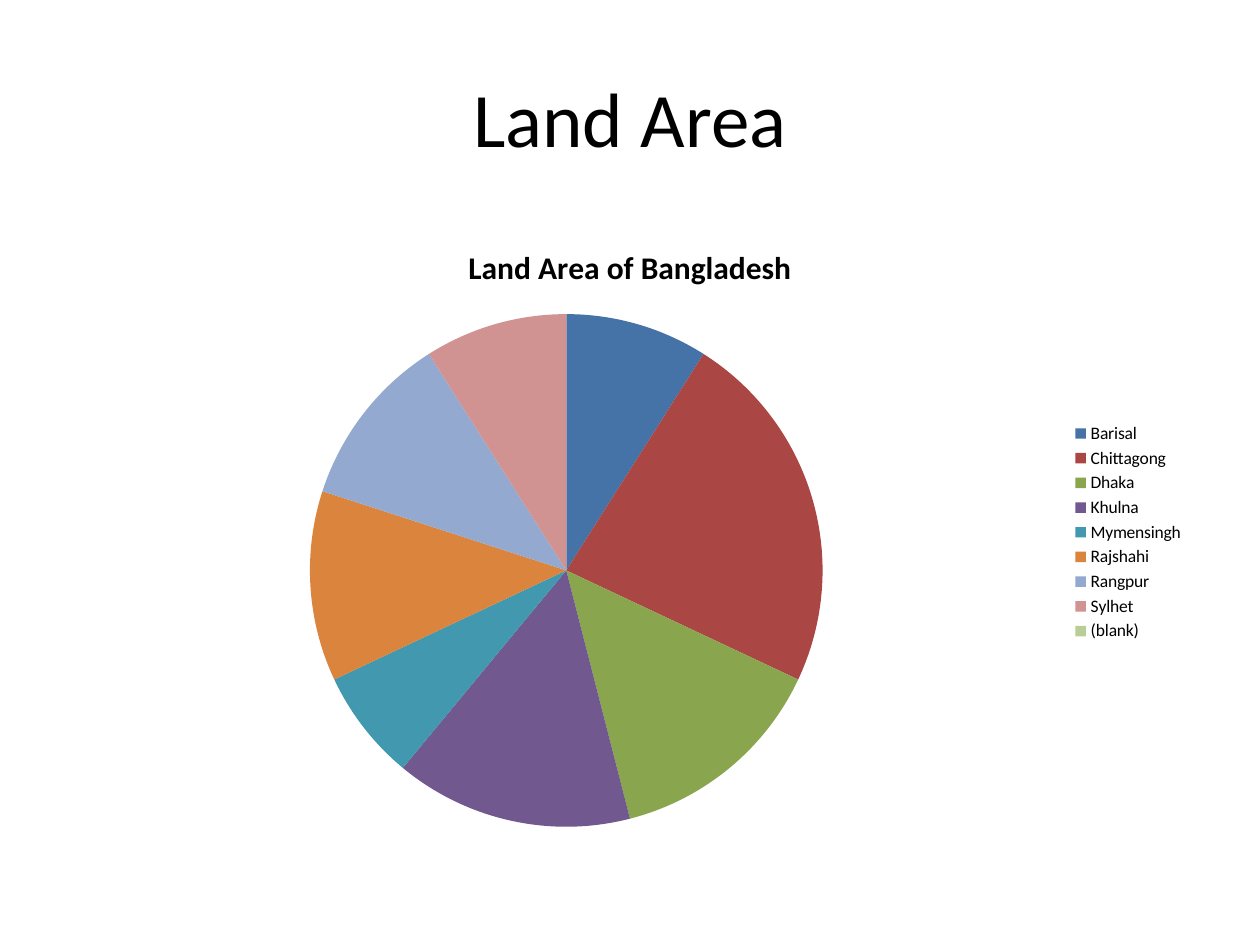
import pptx
import pptx.chart.data
import pptx.dml.color
import pptx.enum.chart
import pptx.enum.text
import pptx.util

Pt = pptx.util.Pt
FONT = "Calibri"
BLACK = "000000"
DIVISIONS = [
    ("Barisal", 9, "4572A7"),
    ("Chittagong", 23, "AA4643"),
    ("Dhaka", 14, "89A54E"),
    ("Khulna", 15, "71588F"),
    ("Mymensingh", 7, "4198AF"),
    ("Rajshahi", 12, "DB843D"),
    ("Rangpur", 11, "93A9CF"),
    ("Sylhet", 9, "D19392"),
    ("(blank)", None, "B9CD96"),
]


def rgb(color):
    """Turn a hex string into a colour."""
    return pptx.dml.color.RGBColor.from_string(color)


def style_font(font, size, bold=False):
    """Set the face, size, weight and colour of a font."""
    font.name = FONT
    font.size = Pt(size)
    font.bold = bold
    font.color.rgb = rgb(BLACK)


def add_title(s, text, left, top, width, height):
    """Add the centred slide title."""
    sp = s.shapes.add_textbox(Pt(left), Pt(top), Pt(width), Pt(height))
    tf = sp.text_frame
    tf.word_wrap = True
    tf.vertical_anchor = pptx.enum.text.MSO_ANCHOR.MIDDLE
    p = tf.paragraphs[0]
    p.alignment = pptx.enum.text.PP_ALIGN.CENTER
    r = p.add_run()
    r.text = text
    style_font(r.font, 44)


def add_pie(s, title, divisions, left, top, width, height):
    """Add a pie chart with a title and a legend on the right."""
    data = pptx.chart.data.CategoryChartData()
    names, values, colors = zip(*divisions)
    data.categories = names
    data.add_series("Series 1", values)
    chart = s.shapes.add_chart(
        pptx.enum.chart.XL_CHART_TYPE.PIE,
        Pt(left), Pt(top), Pt(width), Pt(height), data,
    ).chart
    style_font(chart.font, 10)
    chart.has_title = True
    r = chart.chart_title.text_frame.paragraphs[0].add_run()
    r.text = title
    style_font(r.font, 18, bold=True)
    chart.chart_title.include_in_layout = False
    chart.has_legend = True
    chart.legend.position = pptx.enum.chart.XL_LEGEND_POSITION.RIGHT
    chart.legend.include_in_layout = False
    plot = chart.plots[0]
    plot.vary_by_categories = True
    for i, color in enumerate(colors):
        fill = plot.series[0].points[i].format.fill
        fill.solid()
        fill.fore_color.rgb = rgb(color)


def main():
    """Build the slide and save it."""
    prs = pptx.Presentation()
    prs.slide_width, prs.slide_height = Pt(720), Pt(540)
    s = prs.slides.add_slide(prs.slide_layouts[6])
    add_title(s, "Land Area", 36, 21.6, 648, 90)
    add_pie(s, "Land Area of Bangladesh", DIVISIONS, 36, 126, 648, 356.4)
    prs.save("out.pptx")


if __name__ == "__main__":
    main()
